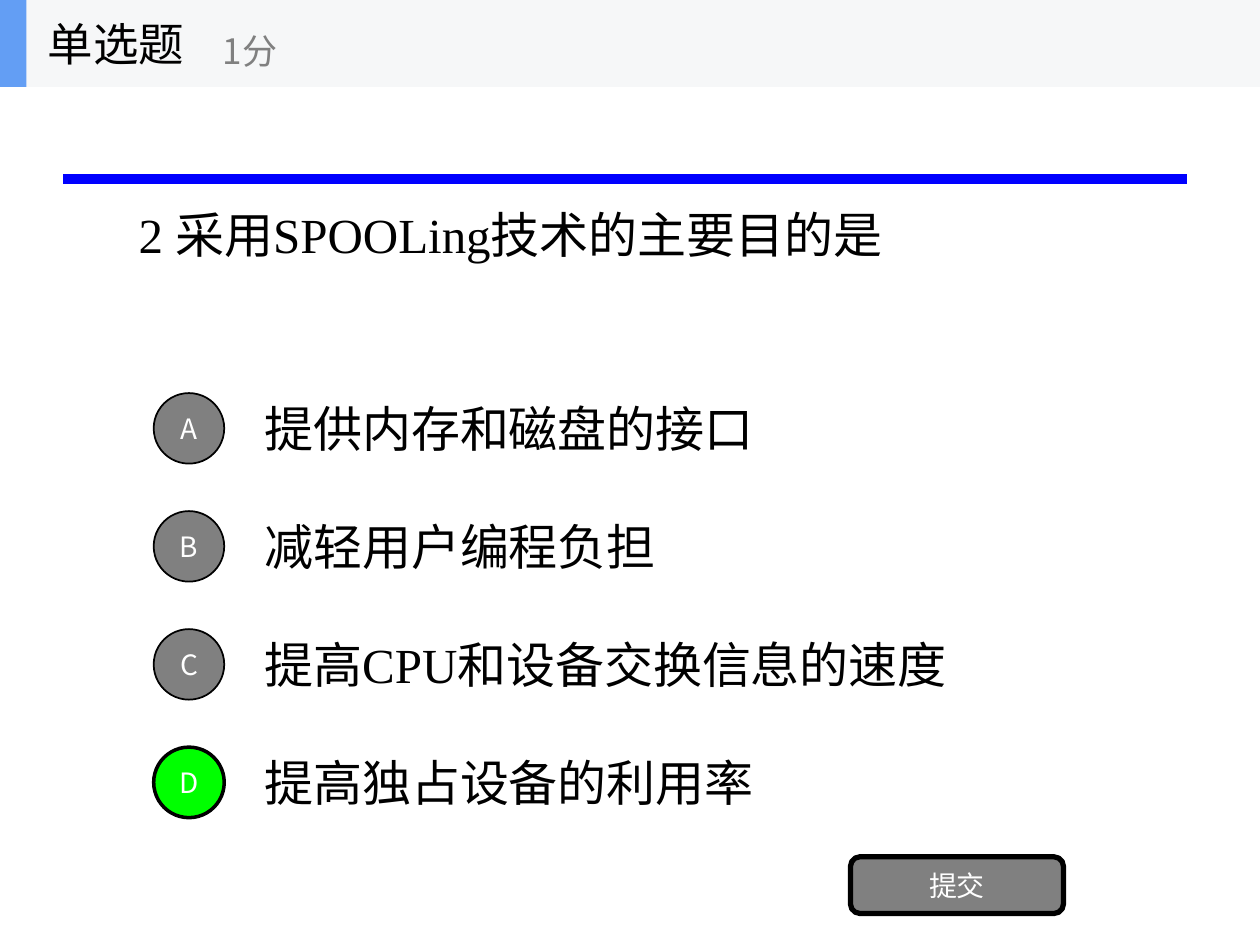
from lxml import etree
from pptx import Presentation
from pptx.dml.color import RGBColor
from pptx.enum import shapes, text
from pptx.oxml import ns
from pptx.util import Inches, Pt

BLACK = RGBColor(0x00, 0x00, 0x00)
WHITE = RGBColor(0xFF, 0xFF, 0xFF)
GRAY = RGBColor(0x80, 0x80, 0x80)
GREEN = RGBColor(0x00, 0xFF, 0x00)
RULE_BLUE = RGBColor(0x00, 0x00, 0xFF)
BAND_GRAY = RGBColor(0xF6, 0xF7, 0xF8)
ACCENT_BLUE = RGBColor(0x63, 0x9E, 0xF4)

SANS = "Noto Sans CJK SC"
SERIF = "Times New Roman"

QUESTION = "2 采用SPOOLing技术的主要目的是"
OPTIONS = [
    "提供内存和磁盘的接口",
    "减轻用户编程负担",
    "提高CPU和设备交换信息的速度",
    "提高独占设备的利用率",
]
CORRECT = 3


def write(shape, words, size, font_name, color, align=text.PP_ALIGN.LEFT, wrap=True):
    frame = shape.text_frame
    frame.text = words
    frame.word_wrap = wrap
    frame.auto_size = text.MSO_AUTO_SIZE.NONE
    frame.vertical_anchor = text.MSO_ANCHOR.MIDDLE
    paragraph = frame.paragraphs[0]
    paragraph.alignment = align
    for run in paragraph.runs:
        run.font.size = Pt(size)
        run.font.name = font_name
        run.font.color.rgb = color
        east_asian = etree.SubElement(run.font._element, ns.qn("a:ea"))
        east_asian.set("typeface", SANS)


def add_label(parent, box, words, size, font_name, color):
    label = parent.add_textbox(*map(Inches, box))
    write(label, words, size, font_name, color)


def add_block(parent, kind, box, fill, line_width=None):
    """Add a filled shape, outlined in black if a line width is given."""
    shape = parent.add_shape(kind, *map(Inches, box))
    shape.shadow.inherit = False
    shape.fill.solid()
    shape.fill.fore_color.rgb = fill
    if line_width is None:
        shape.line.fill.background()
    else:
        shape.line.color.rgb = BLACK
        shape.line.width = Pt(line_width)
    return shape


def add_rule(slide, left, top, width):
    rule = slide.shapes.add_connector(
        shapes.MSO_CONNECTOR.STRAIGHT,
        Inches(left), Inches(top), Inches(left + width), Inches(top))
    rule.line.color.rgb = RULE_BLUE
    rule.line.width = Pt(6)
    etree.SubElement(rule._element.spPr, ns.qn("a:effectLst"))


def add_question(slide, left, top, width, height):
    title = slide.shapes.title
    title.left, title.top = Inches(left), Inches(top)
    title.width, title.height = Inches(width), Inches(height)
    write(title, QUESTION, 28, SERIF, BLACK)


def add_options(slide, left, top, width, height):
    """Stack the answers at an equal pitch, each with its lettered circle."""
    row_height, circle, text_indent = 0.7, 0.56, 0.78
    pitch = (height - row_height) / (len(OPTIONS) - 1)
    for index, option in enumerate(OPTIONS):
        row_top = top + index * pitch
        add_label(slide.shapes,
                  (left + text_indent, row_top, width - text_indent, row_height),
                  option, 28, SERIF, BLACK)
        correct = index == CORRECT
        badge = add_block(
            slide.shapes, shapes.MSO_SHAPE.OVAL,
            (left, row_top + (row_height - circle) / 2, circle, circle),
            GREEN if correct else GRAY, 2 if correct else 1)
        write(badge, "ABCD"[index], 16, SANS, WHITE, text.PP_ALIGN.CENTER, wrap=False)


def add_submit_button(slide, left, top, width, height):
    button = add_block(slide.shapes, shapes.MSO_SHAPE.ROUNDED_RECTANGLE,
                       (left, top, width, height), GRAY, 3)
    write(button, "提交", 16, SANS, WHITE, text.PP_ALIGN.CENTER)


def add_header(slide, left, top, width, height):
    parts = slide.shapes.add_group_shape().shapes
    rectangle = shapes.MSO_SHAPE.RECTANGLE
    add_block(parts, rectangle, (left, top, width, height), BAND_GRAY)
    add_block(parts, rectangle, (left, top, 0.21, height), ACCENT_BLUE)
    add_label(parts, (left + 0.28, top, 2.08, height), "单选题", 26, SANS, BLACK)
    add_label(parts, (left + 1.67, top + 0.12, 2.5, 0.56), "1分", 20, SANS, GRAY)


def main():
    presentation = Presentation()
    presentation.slide_width = Inches(10)
    presentation.slide_height = Inches(7.5)
    slide = presentation.slides.add_slide(presentation.slide_layouts[5])
    add_rule(slide, 0.5, 1.42, 8.92)
    add_question(slide, 1, 0.69, 8, 2.34)
    add_options(slide, 1.22, 3.05, 7.78, 3.51)
    add_submit_button(slide, 6.75, 6.8, 1.69, 0.45)
    add_header(slide, 0, 0, 10, 0.69)
    presentation.save("out.pptx")


if __name__ == "__main__":
    main()
